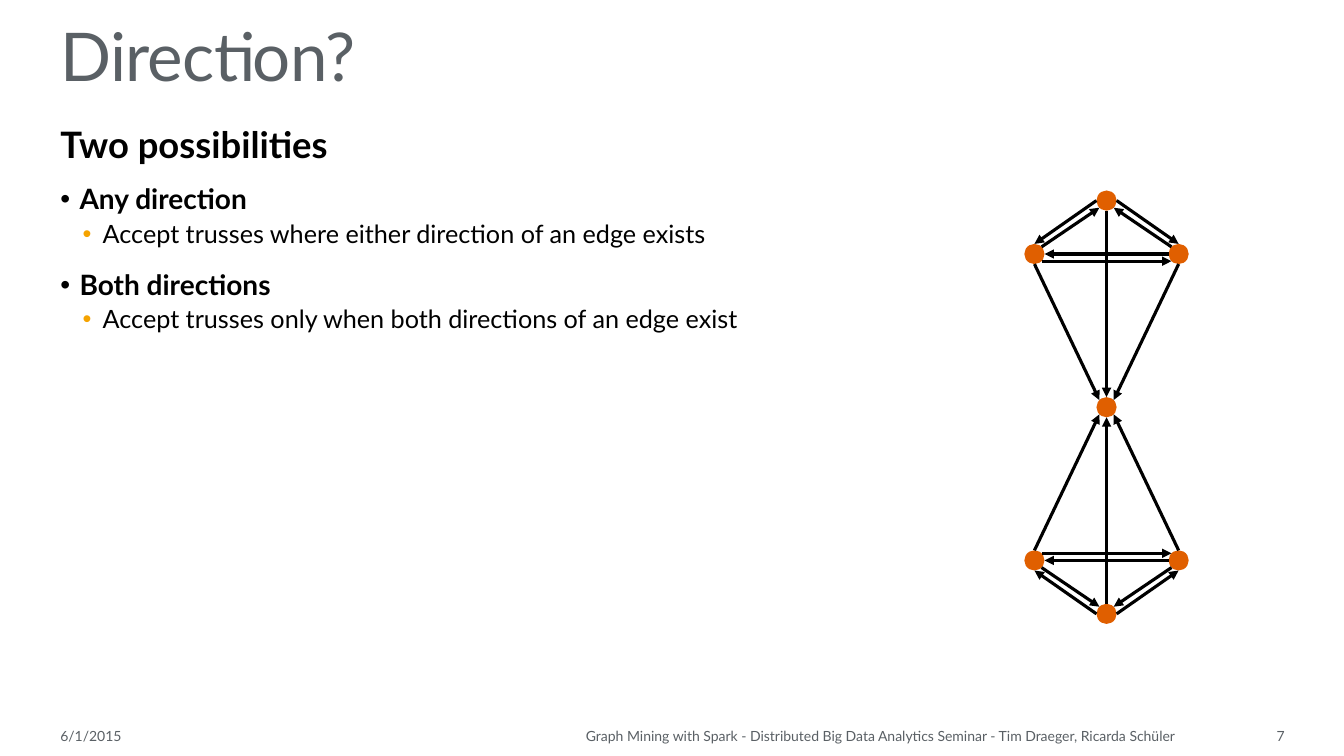
"""Builds a slide on edge direction in trusses, with a mirrored directed graph."""
import math

import lxml.etree
import pptx
import pptx.dml.color
import pptx.enum.shapes
import pptx.enum.text
import pptx.oxml.ns
import pptx.util

RGBColor = pptx.dml.color.RGBColor
Inches = pptx.util.Inches
Pt = pptx.util.Pt
Align = pptx.enum.text.PP_ALIGN
Anchor = pptx.enum.text.MSO_ANCHOR
qualified = pptx.oxml.ns.qn

GREY = RGBColor(0x5A, 0x60, 0x65)
BLACK = RGBColor(0, 0, 0)
ORANGE = RGBColor(0xE0, 0x5F, 0x00)
AMBER = RGBColor(0xF5, 0xA3, 0x00)
FONT = "Lato"
WIDTH, HEIGHT = 13.33, 7.5
MARGIN = 0.5

TITLE = "Direction?"
BODY = [
    ("heading", "Two possibilities"),
    ("point", "Any direction"),
    ("detail", "Accept trusses where either direction of an edge exists"),
    ("point", "Both directions"),
    ("detail", "Accept trusses only when both directions of an edge exist"),
]
# size, bold, level, indent, hanging, space before, space after, bullet colour
STYLES = {
    "heading": (26, True, 0, 0, 0, 12, 2, None),
    "point": (20, True, 0, 0.19, 0.19, 12, 2, BLACK),
    "detail": (18, False, 1, 0.42, 0.2, 2, 4, AMBER),
}
FOOTER = [
    ("6/1/2015", MARGIN, 1.05, Align.LEFT),
    ("Graph Mining with Spark - Distributed Big Data Analytics Seminar"
     " - Tim Draeger, Ricarda Schüler", 1.59, 10.16, Align.RIGHT),
    ("7", 11.79, 1.05, Align.RIGHT),
]
FOOTER_TOP = 7.11

HUB = (10.975, 4.04)
RADIUS = 0.1
NODES = {"left": (-0.715, 1.52), "tip": (0, 2.05), "right": (0.715, 1.52)}
SITES = {"E": 0, "SE": 45, "S": 90, "SW": 135, "W": 180, "NW": 225, "N": 270, "NE": 315}
EDGES = [
    ("left", "N", "hub", "SW"),
    ("tip", "N", "hub", "S"),
    ("right", "N", "hub", "SE"),
    ("left", "NE", "right", "NW"),
    ("right", "W", "left", "E"),
    ("left", "SE", "tip", "NW"),
    ("right", "SW", "tip", "NE"),
    ("tip", "W", "left", "S"),
    ("tip", "E", "right", "S"),
]


def add_run(paragraph, text, size, colour, bold=False):
    run = paragraph.add_run()
    run.text = text
    run.font.name = FONT
    run.font.size = Pt(size)
    run.font.bold = bold
    run.font.color.rgb = colour
    return run


def add_text_frame(slide, left, top, width, height):
    box = slide.shapes.add_textbox(*map(Inches, (left, top, width, height)))
    box.text_frame.word_wrap = True
    return box.text_frame


def add_title(slide):
    title = slide.shapes.title
    title.left, title.top = Inches(MARGIN), 0
    title.width, title.height = Inches(11.04), Inches(0.99)
    frame = title.text_frame
    frame.vertical_anchor = Anchor.BOTTOM
    frame.auto_size = pptx.enum.text.MSO_AUTO_SIZE.NONE
    paragraph = frame.paragraphs[0]
    paragraph.alignment = Align.LEFT
    paragraph.line_spacing = 0.85
    run = add_run(paragraph, TITLE, 48, GREY)
    run.font._element.set("spc", "-50")


def add_bullet(paragraph, indent, hanging, colour):
    properties = paragraph._p.get_or_add_pPr()
    properties.set("marL", str(Inches(indent)))
    properties.set("indent", str(-Inches(hanging)))
    bullet_colour = lxml.etree.SubElement(properties, qualified("a:buClr"))
    lxml.etree.SubElement(bullet_colour, qualified("a:srgbClr"), val=str(colour))
    lxml.etree.SubElement(properties, qualified("a:buFont"), typeface="Arial")
    lxml.etree.SubElement(properties, qualified("a:buChar"), char="•")


def add_body(slide):
    frame = add_text_frame(slide, MARGIN, 1.21, 12.21, 5.67)
    for index, (style, text) in enumerate(BODY):
        size, bold, level, indent, hanging, before, after, bullet = STYLES[style]
        paragraph = frame.add_paragraph() if index else frame.paragraphs[0]
        if bullet is not None:
            add_bullet(paragraph, indent, hanging, bullet)
        paragraph.level = level
        paragraph.line_spacing = 0.9
        paragraph.space_before = Pt(before if index else 0)
        paragraph.space_after = Pt(after)
        add_run(paragraph, text, size, BLACK, bold)


def add_footer(slide):
    for text, left, width, alignment in FOOTER:
        frame = add_text_frame(slide, left, FOOTER_TOP, width, HEIGHT - FOOTER_TOP)
        frame.vertical_anchor = Anchor.MIDDLE
        frame.paragraphs[0].alignment = alignment
        add_run(frame.paragraphs[0], text, 10, GREY)


def add_node(slide, centre):
    left, top = (value - RADIUS for value in centre)
    node = slide.shapes.add_shape(
        pptx.enum.shapes.MSO_SHAPE.OVAL,
        *map(Inches, (left, top, 2 * RADIUS, 2 * RADIUS)))
    node.shadow.inherit = False
    node.fill.solid()
    node.fill.fore_color.rgb = ORANGE
    node.line.fill.background()


def add_arrow(slide, start, end):
    arrow = slide.shapes.add_connector(
        pptx.enum.shapes.MSO_CONNECTOR.STRAIGHT, *map(Inches, (*start, *end)))
    arrow.line.color.rgb = BLACK
    arrow.line.width = Pt(2.25)
    lxml.etree.SubElement(arrow.line._get_or_add_ln(), qualified("a:tailEnd"), type="triangle")
    lxml.etree.SubElement(arrow._element.spPr, qualified("a:effectLst"))


def add_half(slide, direction):
    centres = {name: (HUB[0] + across, HUB[1] + direction * down)
               for name, (across, down) in NODES.items()}
    for centre in centres.values():
        add_node(slide, centre)
    centres["hub"] = HUB

    def site_point(name, site):
        angle = math.radians(SITES[site])
        x, y = centres[name]
        return x + RADIUS * math.cos(angle), y + direction * RADIUS * math.sin(angle)

    for source, source_site, target, target_site in EDGES:
        add_arrow(slide, site_point(source, source_site), site_point(target, target_site))


def main():
    presentation = pptx.Presentation()
    presentation.slide_width, presentation.slide_height = Inches(WIDTH), Inches(HEIGHT)
    slide = presentation.slides.add_slide(presentation.slide_layouts[5])
    add_title(slide)
    add_body(slide)
    add_footer(slide)
    add_node(slide, HUB)
    for direction in (1, -1):
        add_half(slide, direction)
    presentation.save("out.pptx")


if __name__ == "__main__":
    main()
